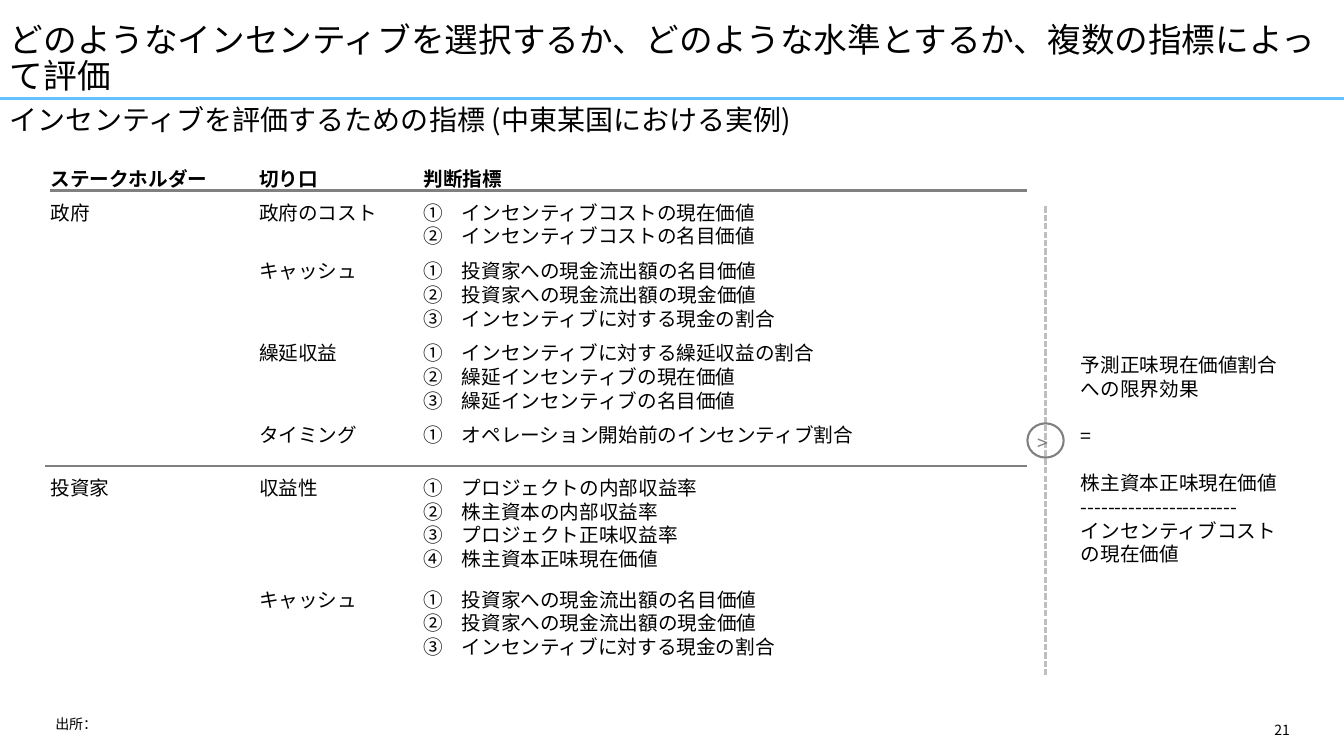
from lxml import etree
from pptx import Presentation
from pptx.dml.color import RGBColor
from pptx.enum.dml import MSO_LINE_DASH_STYLE as DASH
from pptx.enum.shapes import MSO_CONNECTOR as CONNECTOR, MSO_SHAPE as SHAPE
from pptx.enum.text import MSO_ANCHOR as ANCHOR, PP_ALIGN as ALIGN
from pptx.oxml.ns import qn
from pptx.util import Inches, Pt

FONT = "Noto Sans CJK JP"
BLACK = RGBColor(0x00, 0x00, 0x00)
GRAY = RGBColor(0x80, 0x80, 0x80)
LIGHT_GRAY = RGBColor(0xBF, 0xBF, 0xBF)
BLUE = RGBColor(0x63, 0xC1, 0xFF)
LINE_POINTS = 16.9
LINE_HEIGHT = LINE_POINTS / 72
STAKEHOLDER_X, ANGLE_X, INDICATOR_X = 0.5, 2.57, 4.2

deck = Presentation()
deck.slide_width, deck.slide_height = Inches(13.33), Inches(7.5)
page = deck.slides.add_slide(deck.slide_layouts[6])


def add_text(left, top, width, height, lines, size=14, pitch=LINE_POINTS, inset=(0, 0),
             numbered=False, bold=False, color=BLACK, align=ALIGN.LEFT, anchor=ANCHOR.TOP, wrap=True):
    box = page.shapes.add_textbox(Inches(left), Inches(top), Inches(width), Inches(height))
    frame = box.text_frame
    side, edge = (Inches(value) for value in inset)
    frame_format = {"word_wrap": wrap, "vertical_anchor": anchor, "margin_left": side,
                    "margin_right": side, "margin_top": edge, "margin_bottom": edge}
    for name, value in frame_format.items():
        setattr(frame, name, value)
    for index, line in enumerate(lines):
        para = frame.paragraphs[0] if index == 0 else frame.add_paragraph()
        para.alignment = align
        para.line_spacing = Pt(pitch)
        if numbered:
            properties = para._p.get_or_add_pPr()
            properties.set("marL", str(Inches(0.38)))
            properties.set("indent", str(-Inches(0.38)))
            etree.SubElement(properties, qn("a:buAutoNum"), type="circleNumDbPlain")
        span = para.add_run()
        span.text = line
        font_format = {"name": FONT, "size": Pt(size), "bold": bold}
        for name, value in font_format.items():
            setattr(span.font, name, value)
        span.font.color.rgb = color
        etree.SubElement(span.font._element, qn("a:ea"), typeface=FONT)
    return frame


def add_line(x1, y1, x2, y2, color, width=1.5):
    rule = page.shapes.add_connector(CONNECTOR.STRAIGHT, Inches(x1), Inches(y1), Inches(x2), Inches(y2))
    rule.line.color.rgb = color
    rule.line.width = Pt(width)
    etree.SubElement(rule._element.spPr, qn("a:effectLst"))
    return rule


add_line(0, 0.98, 13.33, 0.98, BLUE, 2.25)
add_text(0, 0, 13.33, 0.99, ["どのようなインセンティブを選択するか、どのような水準とするか、複数の指標によって評価"],
         size=24, pitch=25.7, inset=(0.1, 0.05), anchor=ANCHOR.BOTTOM)
add_text(0, 1, 13.33, 0.55, ["インセンティブを評価するための指標 (中東某国における実例)"],
         size=20, pitch=22, inset=(0.1, 0.05))

headings = [(STAKEHOLDER_X, 1.78, "ステークホルダー"), (ANGLE_X, 1.24, "切り口"), (INDICATOR_X, 0.82, "判断指標")]
for left, width, heading in headings:
    add_text(left, 1.66, width, LINE_HEIGHT, [heading], bold=True)
add_line(0.5, 1.89, 10.19, 1.89, GRAY)
add_line(0.45, 4.62, 10.19, 4.62, GRAY)

cash_indicators = ["投資家への現金流出額の名目価値", "投資家への現金流出額の現金価値", "インセンティブに対する現金の割合"]
stakeholders = [
    ("政府", 1.99, 0.11, [
        ("政府のコスト", ["インセンティブコストの現在価値", "インセンティブコストの名目価値"]),
        ("キャッシュ", cash_indicators),
        ("繰延収益", ["インセンティブに対する繰延収益の割合", "繰延インセンティブの現在価値",
                  "繰延インセンティブの名目価値"]),
        ("タイミング", ["オペレーション開始前のインセンティブ割合"]),
    ]),
    ("投資家", 4.72, 0.17, [
        ("収益性", ["プロジェクトの内部収益率", "株主資本の内部収益率", "プロジェクト正味収益率",
                 "株主資本正味現在価値"]),
        ("キャッシュ", cash_indicators),
    ]),
]
for stakeholder, top, gap, angles in stakeholders:
    add_text(STAKEHOLDER_X, top, 1.78, LINE_HEIGHT, [stakeholder])
    for angle, indicators in angles:
        height = len(indicators) * LINE_HEIGHT
        add_text(ANGLE_X, top, 1.24, LINE_HEIGHT, [angle])
        add_text(INDICATOR_X, top, 4.72, height, indicators, numbered=True)
        top += height + gap

divider = add_line(10.37, 6.7, 10.37, 2.03, LIGHT_GRAY)
divider.line.dash_style = DASH.SQUARE_DOT
circle = page.shapes.add_shape(SHAPE.OVAL, Inches(10.19), Inches(4.2), Inches(0.36), Inches(0.34))
circle.shadow.inherit = False
circle.fill.background()
circle.line.color.rgb = GRAY
circle.line.width = Pt(1.5)
add_text(10.29, 4.27, 0.16, LINE_HEIGHT, [">"], color=GRAY, wrap=False)

formula = add_text(10.72, 3.5, 2.07, 2.36, [
    "予測正味現在価値割合への限界効果", "=", "株主資本正味現在価値",
    "-----------------------", "インセンティブコストの現在価値"])
for para in formula.paragraphs[1:3]:
    para.space_before = Pt(LINE_POINTS)

add_text(0.45, 7.05, 8.47, 0.4, ["出所："], size=10, pitch=12, inset=(0.1, 0.05))
add_text(9.42, 7.11, 3.47, 0.24, ["21"], size=10, pitch=12, inset=(0.1, 0.05), align=ALIGN.RIGHT)

deck.save("out.pptx")
